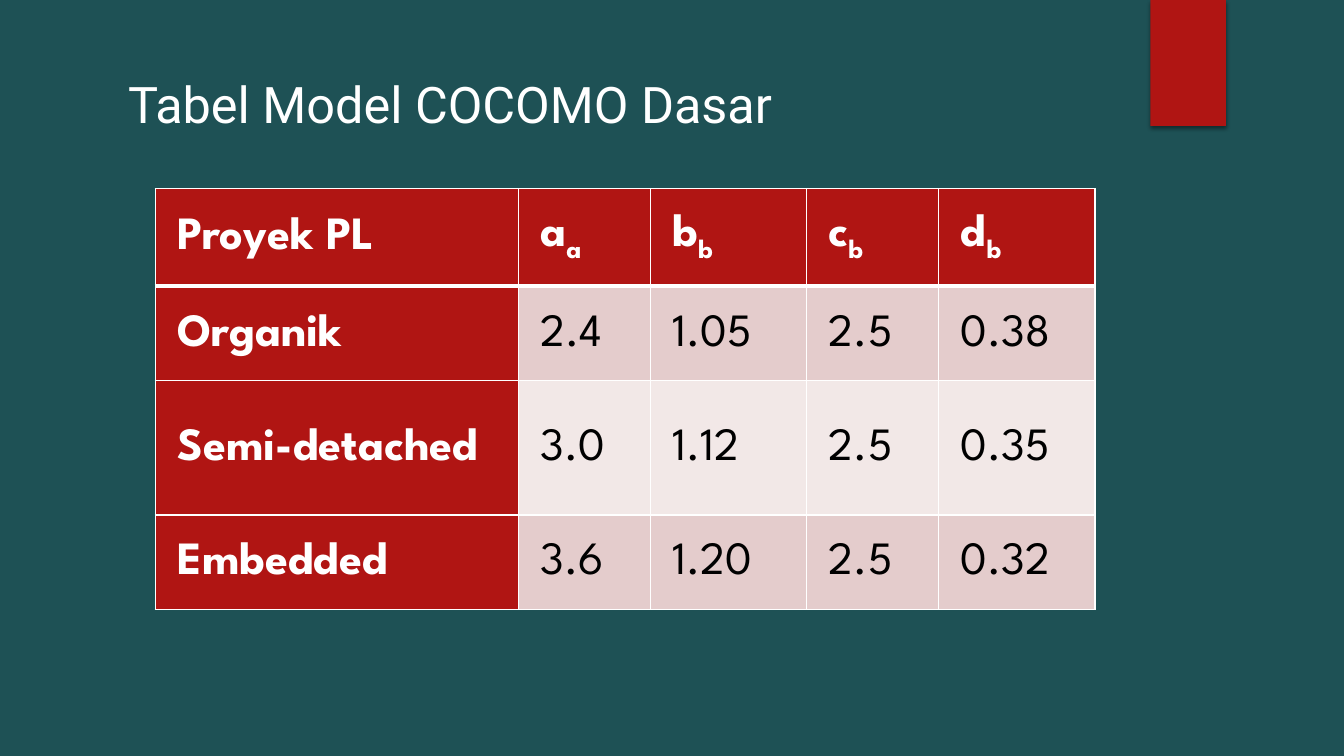
"""Build a slide with the table of basic COCOMO model coefficients."""
from dataclasses import dataclass

from lxml import etree
from pptx import Presentation, util as u
from pptx.dml.color import RGBColor
from pptx.enum import shapes, text
from pptx.oxml import ns


@dataclass(frozen=True)
class Theme:
    teal: str = "1E5155"
    red: str = "B01513"
    white: str = "FFFFFF"
    black: str = "000000"
    bands: tuple = ("E4CCCC", "F2E8E7")
    title_font: str = "Roboto"
    table_font: str = "League Spartan"
    title_size: int = 36
    table_size: int = 33
    padding: float = 0.22
    thin: int = 1
    thick: int = 3


HEADER = [("Proyek PL", ""), ("a", "a"), ("b", "b"), ("c", "b"), ("d", "b")]
PROJECTS = [
    ("Organik", "2.4", "1.05", "2.5", "0.38"),
    ("Semi-detached", "3.0", "1.12", "2.5", "0.35"),
    ("Embedded", "3.6", "1.20", "2.5", "0.32"),
]
COLUMN_WIDTHS = [3.6, 1.31, 1.55, 1.31, 1.55]
ROW_HEIGHTS = [0.94, 0.94, 1.33, 0.94]


def apply(target, **values):
    for name, value in values.items():
        setattr(target, name, value)


def add_node(parent, tag, **attributes):
    node = etree.SubElement(parent, ns.qn(tag))
    for name, value in attributes.items():
        node.set(name, str(value))
    return node


class SlideBuilder:
    def __init__(self, deck, theme):
        self.theme = theme
        self.page = deck.slides.add_slide(deck.slide_layouts[5])
        self.paint(self.page.background, theme.teal)

    def paint(self, target, color):
        target.fill.solid()
        target.fill.fore_color.rgb = RGBColor.from_string(color)

    def add_text(self, para, words, font, size, color, bold=False, subscript=False):
        apply(para, alignment=text.PP_ALIGN.LEFT, line_spacing=1.07,
              space_before=u.Pt(0), space_after=u.Pt(8))
        span = para.add_run()
        span.text = words
        apply(span.font, name=font, size=u.Pt(size), bold=bold)
        span.font.color.rgb = RGBColor.from_string(color)
        if subscript:
            span.font._element.set("baseline", "-25000")

    def title(self, words, left, top, width, height):
        box = self.page.shapes.title
        apply(box, left=u.Inches(left), top=u.Inches(top),
              width=u.Inches(width), height=u.Inches(height))
        apply(box.text_frame, word_wrap=True, auto_size=text.MSO_AUTO_SIZE.NONE,
              vertical_anchor=text.MSO_ANCHOR.TOP)
        self.add_text(box.text_frame.paragraphs[0], words, self.theme.title_font,
                      self.theme.title_size, self.theme.white)

    def ribbon(self, left, top, width, height):
        box = self.page.shapes.add_shape(
            shapes.MSO_SHAPE.RECTANGLE, *map(u.Inches, (left, top, width, height)))
        self.paint(box, self.theme.red)
        box.line.fill.background()
        box.shadow.inherit = False
        effects = box._element.spPr.find(ns.qn("a:effectLst"))
        shadow = add_node(effects, "a:outerShdw", blurRad=u.Pt(3), dist=u.Pt(2),
                          dir=90 * 60000, rotWithShape=0)
        color = add_node(shadow, "a:srgbClr", val=self.theme.black)
        add_node(color, "a:alpha", val=45000)

    def borders(self, cell, top, bottom):
        properties = cell._tc.get_or_add_tcPr()
        thin = self.theme.thin
        for side, points in {"L": thin, "R": thin, "T": top, "B": bottom}.items():
            line = add_node(properties, f"a:ln{side}", w=u.Pt(points))
            fill = add_node(line, "a:solidFill")
            add_node(fill, "a:srgbClr", val=self.theme.white)

    def table(self, header, projects, left, top, widths, heights):
        theme = self.theme
        rows = [header] + [[(words, "") for words in project] for project in projects]
        grid = self.page.shapes.add_table(
            len(rows), len(header), u.Inches(left), u.Inches(top),
            u.Inches(sum(widths)), u.Inches(sum(heights))).table
        apply(grid, first_col=True)
        for column, width in zip(grid.columns, widths):
            column.width = u.Inches(width)
        for r, (row, height) in enumerate(zip(rows, heights)):
            grid.rows[r].height = u.Inches(height)
            for c, (words, subscript) in enumerate(row):
                cell = grid.cell(r, c)
                heading = r == 0 or c == 0
                apply(cell, vertical_anchor=text.MSO_ANCHOR.MIDDLE)
                for side in ("left", "right", "top", "bottom"):
                    setattr(cell, f"margin_{side}", u.Inches(theme.padding))
                self.borders(cell, top=theme.thick if r == 1 else theme.thin,
                             bottom=theme.thick if r == 0 else theme.thin)
                self.paint(cell, theme.red if heading else theme.bands[(r - 1) % 2])
                style = (theme.table_font, theme.table_size,
                         theme.white if heading else theme.black, heading)
                para = cell.text_frame.paragraphs[0]
                self.add_text(para, words, *style)
                if subscript:
                    self.add_text(para, subscript, *style, subscript=True)


def main():
    deck = Presentation()
    apply(deck, slide_width=u.Inches(13.33), slide_height=u.Inches(7.5))
    slide = SlideBuilder(deck, Theme())
    slide.ribbon(11.41, 0, 0.75, 1.25)
    slide.table(HEADER, PROJECTS, 1.54, 1.87, COLUMN_WIDTHS, ROW_HEIGHTS)
    slide.title("Tabel Model COCOMO Dasar", 1.17, 0.63, 6.67, 0.73)
    deck.save("out.pptx")


if __name__ == "__main__":
    main()
